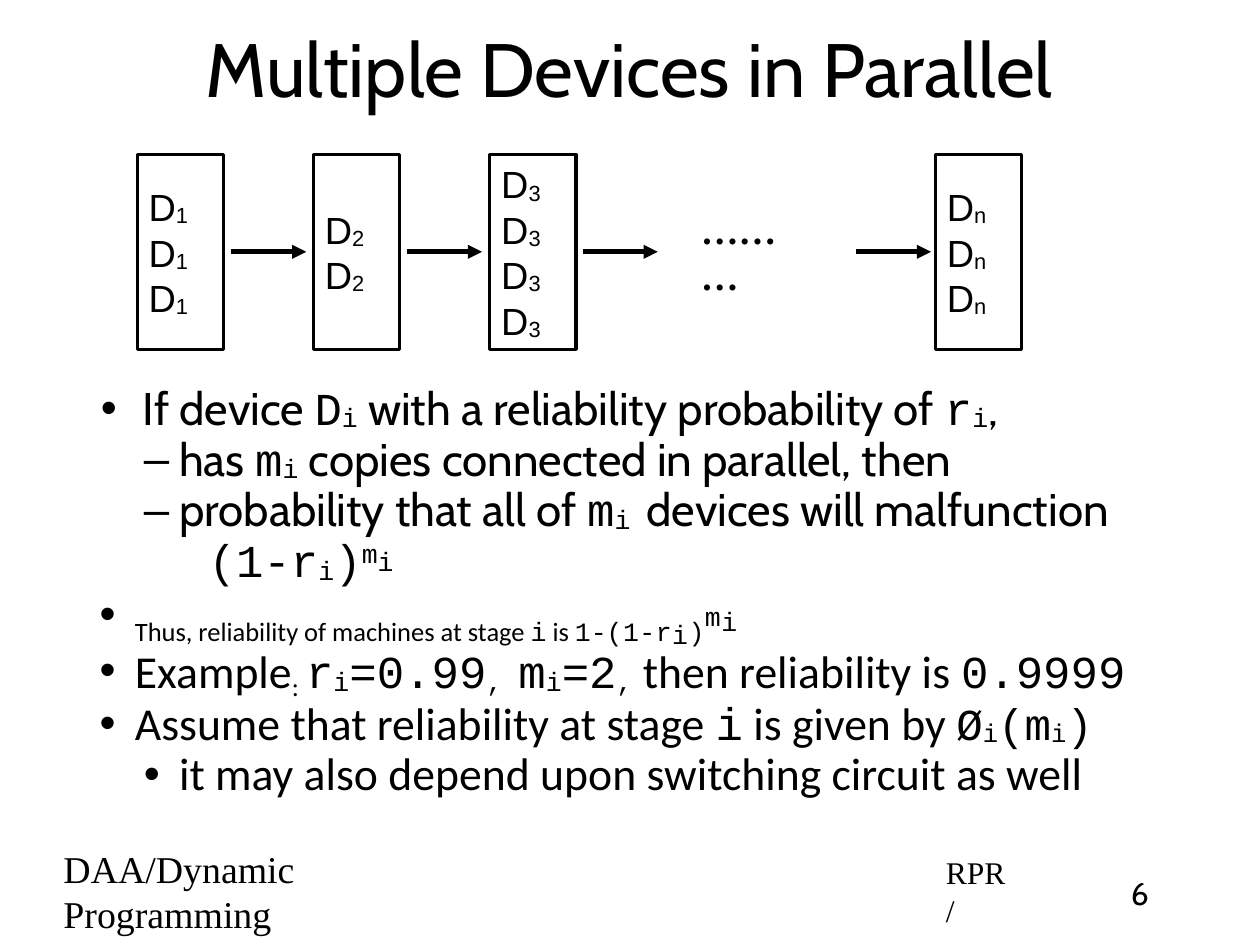
from lxml import etree
from pptx import Presentation
from pptx.dml.color import RGBColor
from pptx.enum.shapes import MSO_CONNECTOR, MSO_SHAPE
from pptx.enum.text import MSO_ANCHOR, PP_ALIGN
from pptx.oxml.ns import qn
from pptx.util import Inches, Pt

BLACK = RGBColor(0, 0, 0)
RECT = MSO_SHAPE.RECTANGLE
LINE = MSO_CONNECTOR.STRAIGHT
TOP, MIDDLE = MSO_ANCHOR.TOP, MSO_ANCHOR.MIDDLE
LEFT, CENTER = PP_ALIGN.LEFT, PP_ALIGN.CENTER
ARIAL, CABIN, CALI = "Arial", "Cabin", "Calibri"
MONO, TIMES = "Courier New", "Times New Roman"
SUB, LOW = -6, -17
PAD = 0.06

# Indents: left margin, first line offset, bullet
MAIN = (0.35, -0.31, "•")
DASH = (0.74, -0.31, "–")
DOT = (0.74, -0.31, "•")

# Each run: text, font, then baseline, size and spacing where needed
BODY = [
    ((0.42, -0.37, "•"), [
        ("If device ", CABIN), ("D", MONO), ("i", MONO, SUB),
        (" with a reliability probability of ", CABIN),
        ("r", MONO), ("i", MONO, SUB), (",", CABIN)]),
    (DASH, [
        ("has ", CABIN), ("m", MONO), ("i", MONO, SUB),
        (" copies connected in parallel, then", CABIN)]),
    (DASH, [
        ("probability that all of ", CABIN), ("m", MONO), ("i ", MONO, SUB),
        ("devices will malfunction", CABIN)]),
    ((0, 1, None), [
        ("(1-r", MONO), ("i", MONO, SUB), (")", MONO),
        ("m", MONO, 32), ("i", MONO, 15)]),
    (MAIN, [
        ("Thus, reliability of machines at stage ", CALI, LOW),
        ("i", MONO, LOW), (" is ", CALI, LOW), ("1-", MONO, LOW),
        ("(1-r", MONO, LOW, 29, 0.3), ("i", MONO, -23, 29, 0.3),
        (")", MONO, LOW, 29, 0.3), ("m", MONO, 15, 29, 0.3),
        ("i", MONO, 4, 29, 0.3)]),
    (MAIN, [
        ("Example", CALI), (": ", CALI, LOW, 29, 0.3),
        ("r", MONO), ("i", MONO, SUB), ("=0.99", MONO), (", ", MONO, SUB),
        ("m", MONO), ("i", MONO, SUB), ("=2", MONO), (",", MONO, SUB),
        (" then reliability is ", CALI), ("0.9999", MONO)]),
    (MAIN, [
        ("Assume that reliability at stage ", CALI), ("i", MONO),
        (" is given by ", CALI), ("Ø", MONO, 0, 28), ("i", MONO, SUB, 28),
        ("(m", MONO, 0, 28), ("i", MONO, SUB, 28), (")", MONO, 0, 28)]),
    (DOT, [("it may also depend upon switching circuit as well", CALI)]),
]


def add_run(par, text, font=CABIN, base=0, size=29, space=0, bold=False):
    """Add formatted text to a paragraph."""
    run = par.add_run()
    run.text = text
    run.font.name = font
    run.font.size = Pt(size)
    run.font.bold = bold
    run.font.color.rgb = BLACK
    props = run._r.get_or_add_rPr()
    if base:
        props.set("baseline", str(base * 1000))
    if space:
        props.set("spc", str(round(space * 100)))


def set_frame(frame, anchor=MIDDLE, right=PAD):
    """Set wrapping, anchor and insets of a text frame."""
    frame.word_wrap = True
    frame.vertical_anchor = anchor
    frame.margin_left = frame.margin_top = frame.margin_bottom = Inches(PAD)
    frame.margin_right = Inches(right)


def set_indent(par, left, first=0, mark=None):
    """Set the indent of a paragraph and its bullet, if any."""
    props = par._p.get_or_add_pPr()
    props.set("marL", str(Inches(left)))
    props.set("indent", str(Inches(first)))
    if mark:
        etree.SubElement(props, qn("a:buFont")).set("typeface", ARIAL)
        etree.SubElement(props, qn("a:buChar")).set("char", mark)


def add_label(slide, place, text, align=LEFT, anchor=MIDDLE, right=PAD,
              **style):
    """Add a text box that holds one paragraph."""
    box = slide.shapes.add_textbox(*map(Inches, place))
    set_frame(box.text_frame, anchor, right)
    par = box.text_frame.paragraphs[0]
    par.alignment = align
    set_indent(par, 0.04 if align == LEFT else 0)
    add_run(par, text, **style)


def add_stage(slide, left, index, count):
    """Add a stage box that lists its parallel devices."""
    box = slide.shapes.add_shape(
        RECT, *map(Inches, (left, 1.36, 0.76, 1.72)))
    box.shadow.inherit = False
    box.fill.background()
    box.line.color.rgb = BLACK
    box.line.width = Pt(2)
    frame = box.text_frame
    set_frame(frame)
    for row in range(count):
        par = frame.add_paragraph() if row else frame.paragraphs[0]
        par.alignment = LEFT
        set_indent(par, 0.04)
        add_run(par, "D", font=ARIAL, size=24)
        add_run(par, index, font=ARIAL, size=24, base=SUB)


def add_arrow(slide, left):
    """Add an arrow that leads to the next stage."""
    y = Inches(2.22)
    arrow = slide.shapes.add_connector(
        LINE, Inches(left), y, Inches(left + 0.66), y)
    arrow.line.color.rgb = BLACK
    arrow.line.width = Pt(3)
    etree.SubElement(arrow.line._get_or_add_ln(),
                     qn("a:tailEnd")).set("type", "triangle")
    etree.SubElement(arrow._element.spPr, qn("a:effectLst"))


def add_body(slide):
    """Add the list of statements on reliability."""
    box = slide.shapes.add_textbox(*map(Inches, (0.78, 3.34, 9.9, 4.07)))
    frame = box.text_frame
    set_frame(frame, TOP)
    for row, (indent, runs) in enumerate(BODY):
        par = frame.add_paragraph() if row else frame.paragraphs[0]
        set_indent(par, *indent)
        par.line_spacing = 0.9
        par.space_before = Pt(1)
        for run in runs:
            add_run(par, *run)


def main():
    """Build the slide and save it."""
    deck = Presentation()
    deck.slide_width, deck.slide_height = Inches(11.11), Inches(8.33)
    slide = deck.slides.add_slide(deck.slide_layouts[6])

    add_label(slide, (0.83, 0.07, 9.44, 1.04), "Multiple Devices in Parallel",
              align=CENTER, size=48)
    add_body(slide)

    for step, (index, count) in enumerate((("1", 3), ("2", 2), ("3", 4))):
        add_stage(slide, 1.21 + 1.555 * step, index, count)
        add_arrow(slide, 2.04 + 1.55 * step)
    add_label(slide, (6.08, 1.99, 1.17, 0.47), "………", right=0.3,
              font=TIMES, size=24, bold=True)
    add_arrow(slide, 7.55)
    add_stage(slide, 8.25, "n", 3)

    add_label(slide, (0.46, 7.62, 4.12, 0.47), "DAA/Dynamic Programming",
              right=1.5, font=TIMES, size=24)
    add_label(slide, (8.24, 7.64, 0.77, 0.42), "RPR/", right=0.1,
              font=TIMES, size=20)
    add_label(slide, (9.72, 7.64, 0.66, 0.42), "6", align=CENTER, anchor=TOP,
              size=20)
    deck.save("out.pptx")


main()
